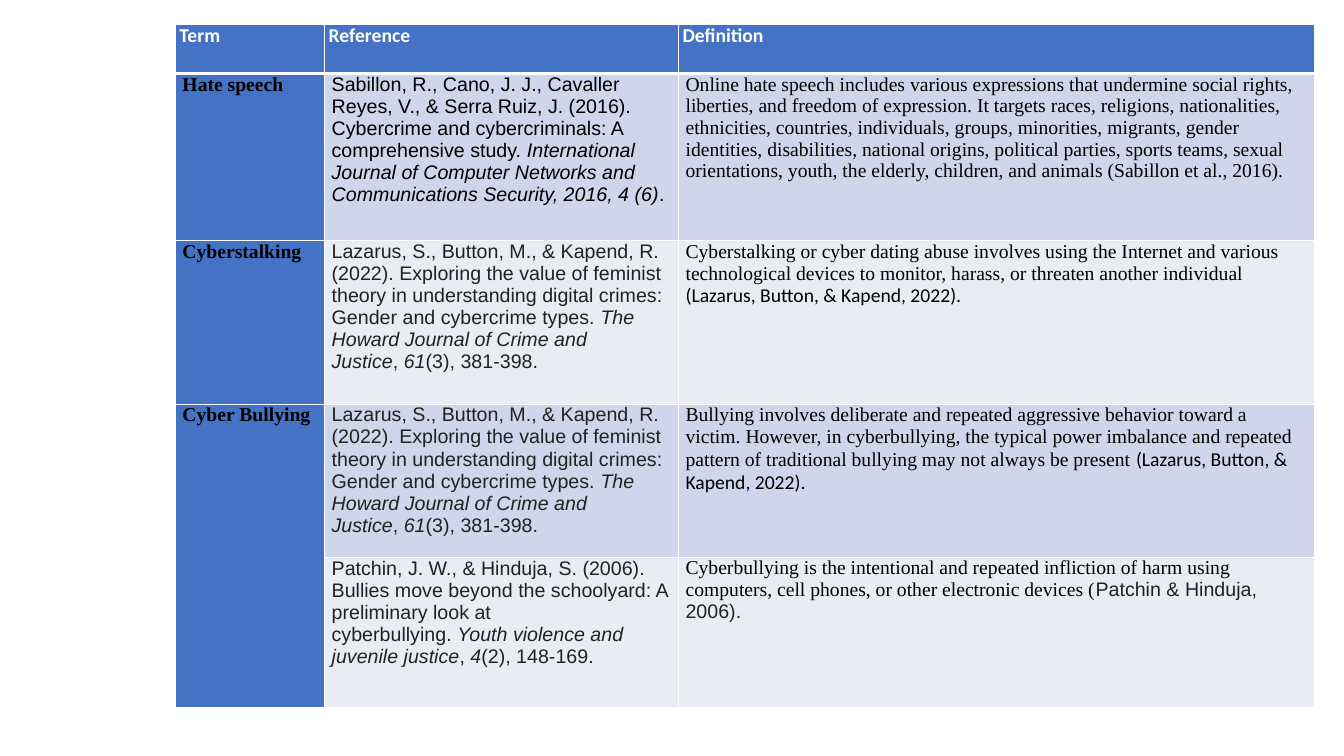
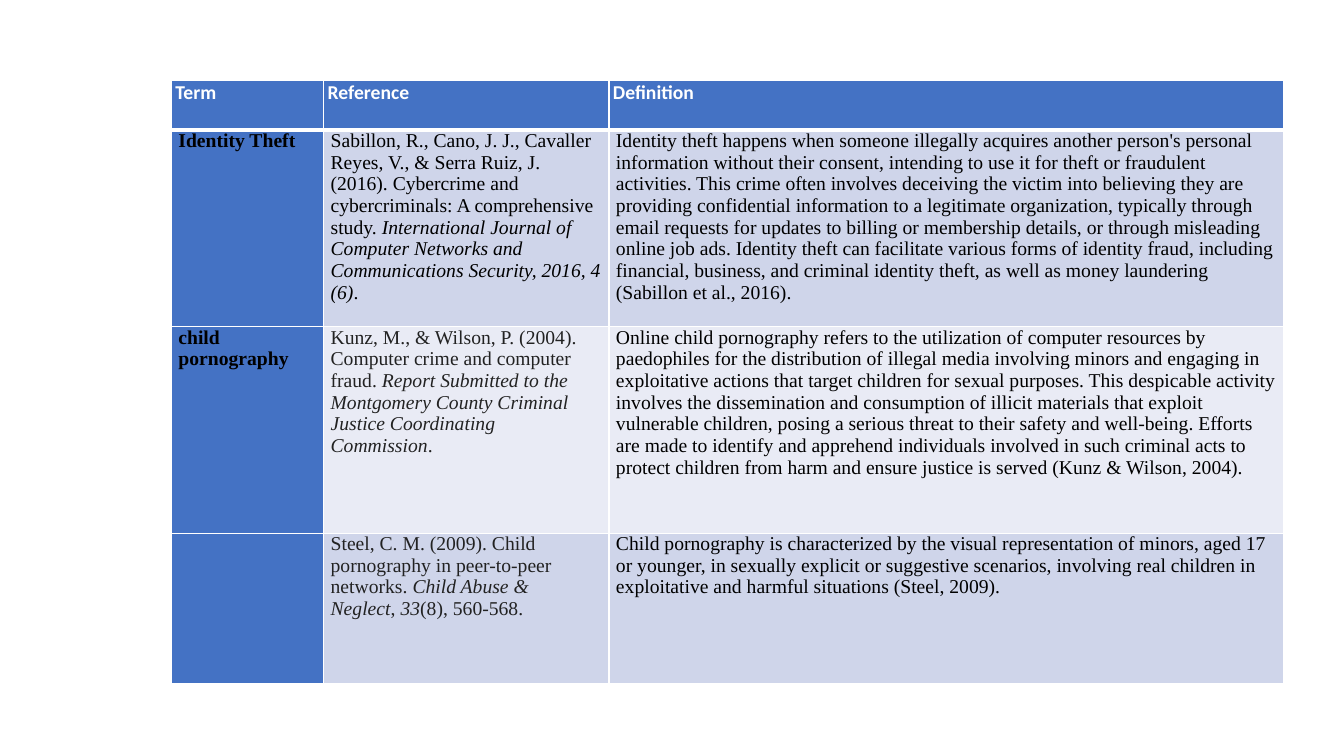
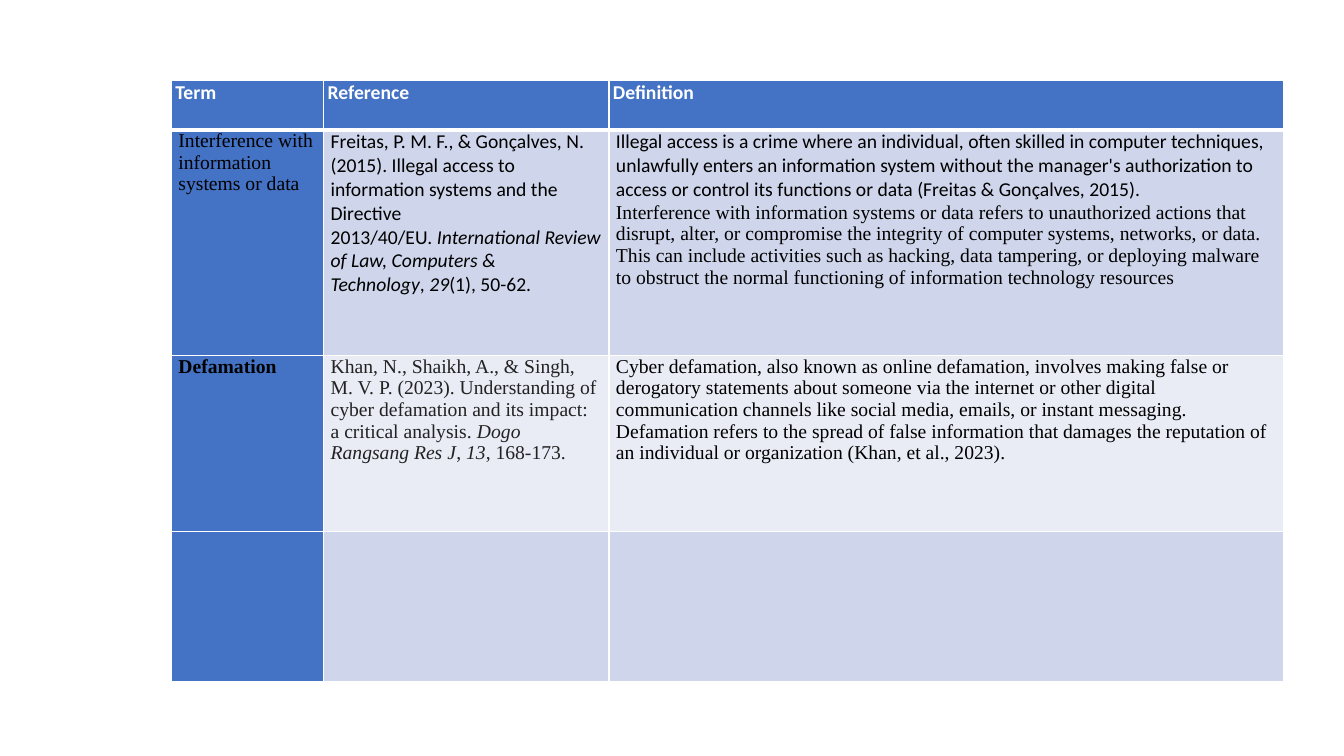
import lxml.etree
import pptx
import pptx.dml.color
import pptx.oxml.ns
import pptx.util

Inches = pptx.util.Inches
SANS, SERIF, BODY = "Arial", "Times New Roman", "Calibri"
WHITE, BLACK, GREY, BLUE = "FFFFFF", "000000", "222222", "4472C4"
BANDS = ["CFD5EA", "E9EBF5"]
HEADINGS = ["Term", "Reference", "Definition"]

# In the texts, *stars* enclose italics and ~ is a space that never breaks.
SABILLON = (
    "Sabillon, R., Cano, J. J., Cavaller Reyes, V., & Serra Ruiz, J. (2016). "
    "Cybercrime and cybercriminals: A comprehensive study.~*International Journal of "
    "Computer Networks and Communications Security, 2016, 4 (6)*."
)
LAZARUS = (
    "Lazarus, S., Button, M., & Kapend, R. (2022). Exploring the value of feminist theory "
    "in understanding digital crimes: Gender and cybercrime types.~*The Howard Journal of "
    "Crime and Justice*,~*61*(3), 381-398."
)
LAZARUS_SHORT = "(Lazarus, Button, & Kapend, 2022)."


def colour(value):
    return pptx.dml.color.RGBColor.from_string(value)


def span(text, font=SERIF, ink=BLACK, bold=False, new_para=False):
    """Text with its format, as one part of a cell."""
    return {"text": text, "font": font, "ink": ink, "bold": bold, "new_para": new_para}


class Slides:
    size = 14
    header_height = 0.49

    def __init__(self):
        self.deck = pptx.Presentation()
        self.deck.slide_width = Inches(13.33)
        self.deck.slide_height = Inches(7.5)
        self.page = None

    def add_page(self):
        self.page = self.deck.slides.add_slide(self.deck.slide_layouts[6])

    def add_text(self, para, text, font, ink, bold):
        for index, piece in enumerate(text.replace("~", chr(160)).split("*")):
            if piece:
                run = para.add_run()
                run.text = piece
                run.font.name = font
                run.font.size = pptx.util.Pt(self.size)
                run.font.bold = bold
                run.font.italic = index % 2 == 1
                run.font.color.rgb = colour(ink)

    def borders(self, cell, top, bottom):
        qn = pptx.oxml.ns.qn
        properties = cell._tc.get_or_add_tcPr()
        for side, points in {"L": 1, "R": 1, "T": top, "B": bottom}.items():
            line = lxml.etree.SubElement(properties, qn("a:ln" + side))
            line.set("w", str(pptx.util.Pt(points)))
            fill = lxml.etree.SubElement(line, qn("a:solidFill"))
            lxml.etree.SubElement(fill, qn("a:srgbClr")).set("val", WHITE)

    def fill_cell(self, cell, spans, fill, inset, top=1, bottom=1):
        self.borders(cell, top, bottom)
        cell.fill.solid()
        cell.fill.fore_color.rgb = colour(fill)
        cell.margin_left = cell.margin_right = Inches(inset)
        cell.margin_top = cell.margin_bottom = 0
        para = cell.text_frame.paragraphs[0]
        for part in spans:
            if part["new_para"]:
                para = cell.text_frame.add_paragraph()
            self.add_text(para, part["text"], part["font"], part["ink"], part["bold"])

    def add_glossary(self, left, top, widths, heights, rows, merge=None):
        heights = [self.header_height] + heights
        table = self.page.shapes.add_table(
            len(heights), len(widths), Inches(left), Inches(top),
            Inches(sum(widths)), Inches(sum(heights))).table
        table.first_row = table.horz_banding = False
        for column, width in zip(table.columns, widths):
            column.width = Inches(width)
        for row, height in zip(table.rows, heights):
            row.height = Inches(height)
        # Header row
        for index, heading in enumerate(HEADINGS):
            title = [span(heading, font=BODY, ink=WHITE, bold=True)]
            self.fill_cell(table.cell(0, index), title, BLUE, 0.04, bottom=3)
        # Banded rows, with the terms on blue
        for number, row in enumerate(rows, start=1):
            for index, spans in enumerate(row):
                fill = BLUE if index == 0 else BANDS[(number - 1) % 2]
                self.fill_cell(table.cell(number, index), spans, fill, 0.07,
                               top=3 if number == 1 else 1)
        if merge:
            table.cell(merge[0], 0).merge(table.cell(merge[1], 0))


# Hate speech, stalking and bullying
HARASSMENT = [
    (
        [span("Hate speech", bold=True)],
        [span(SABILLON, font=SANS)],
        [span("Online hate speech includes various expressions that undermine social rights, "
              "liberties, and freedom of expression. It targets races, religions, "
              "nationalities, ethnicities, countries, individuals, groups, minorities, "
              "migrants, gender identities, disabilities, national origins, political "
              "parties, sports teams, sexual orientations, youth, the elderly, children, and "
              "animals (Sabillon et al., 2016).")],
    ),
    (
        [span("Cyberstalking", bold=True)],
        [span(LAZARUS, font=SANS, ink=GREY)],
        [span("Cyberstalking or cyber dating abuse involves using the Internet and various "
              "technological devices to monitor, harass, or threaten another individual "),
         span(LAZARUS_SHORT, font=BODY)],
    ),
    (
        [span("Cyber Bullying", bold=True)],
        [span(LAZARUS, font=SANS, ink=GREY)],
        [span("Bullying involves deliberate and repeated aggressive behavior toward a victim. "
              "However, in cyberbullying, the typical power imbalance and repeated pattern of "
              "traditional bullying may not always be present "),
         span(LAZARUS_SHORT, font=BODY)],
    ),
    (
        [],
        [span("Patchin, J. W., & Hinduja, S. (2006). Bullies move beyond the schoolyard: A "
              "preliminary look at cyberbullying.~*Youth violence and juvenile justice*,~*4*"
              "(2), 148-169.", font=SANS, ink=GREY)],
        [span("Cyberbullying is the intentional and repeated infliction of harm using "
              "computers, cell phones, or other electronic devices ("),
         span("Patchin & Hinduja, 2006).", font=SANS, ink=GREY)],
    ),
]

# Identity theft and child protection
EXPLOITATION = [
    (
        [span("Identity Theft", bold=True)],
        [span(SABILLON)],
        [span("Identity theft happens when someone illegally acquires another person's "
              "personal information without their consent, intending to use it for theft or "
              "fraudulent activities. This crime often involves deceiving the victim into "
              "believing they are providing confidential information to a legitimate "
              "organization, typically through email requests for updates to billing or "
              "membership details, or through misleading online job ads. Identity theft can "
              "facilitate various forms of identity fraud, including financial, business, and "
              "criminal identity theft, as well as money laundering (Sabillon et al., "
              "2016).")],
    ),
    (
        [span("child pornography", bold=True)],
        [span("Kunz, M., & Wilson, P. (2004). Computer crime and computer fraud.~*Report "
              "Submitted to the Montgomery County Criminal Justice Coordinating "
              "Commission*.", ink=GREY)],
        [span("Online child pornography refers to the utilization of computer resources by "
              "paedophiles for the distribution of illegal media involving minors and "
              "engaging in exploitative actions that target children for sexual purposes. "
              "This despicable activity involves the dissemination and consumption of illicit "
              "materials that exploit vulnerable children, posing a serious threat to their "
              "safety and well-being. Efforts are made to identify and apprehend individuals "
              "involved in such criminal acts to protect children from harm and ensure "
              "justice is served (Kunz & Wilson, 2004).")],
    ),
    (
        [],
        [span("Steel, C. M. (2009). Child pornography in peer-to-peer networks.~*Child Abuse "
              "& Neglect*,~*33*(8), 560-568.", ink=GREY)],
        [span("Child pornography is characterized by the visual representation of minors, "
              "aged 17 or younger, in sexually explicit or suggestive scenarios, involving "
              "real children in exploitative and harmful situations (Steel, 2009).")],
    ),
]

# Interference and defamation
INTERFERENCE = [
    (
        [span("Interference with information systems or data")],
        [span("Freitas, P. M. F., & Gonçalves, N. (2015). Illegal access to information "
              "systems and the Directive 2013/40/EU.~*International Review of Law, Computers "
              "& Technology*,~*29*(1), 50-62.", font=BODY)],
        [span("Illegal access is a crime where an individual, often skilled in computer "
              "techniques, unlawfully enters an information system without the manager's "
              "authorization to access or control its functions or data (Freitas & "
              "Gonçalves, 2015).", font=BODY),
         span("Interference with information systems or data refers to unauthorized actions "
              "that disrupt, alter, or compromise the integrity of computer systems, "
              "networks, or data. This can include activities such as hacking, data "
              "tampering, or deploying malware to obstruct the normal functioning of "
              "information technology resources", new_para=True)],
    ),
    (
        [span("Defamation", bold=True)],
        [span("Khan, N., Shaikh, A., & Singh, M. V. P. (2023). Understanding of cyber "
              "defamation and its impact: a critical analysis.~*Dogo Rangsang Res J*,~*13*, "
              "168-173.", ink=GREY)],
        [span("Cyber defamation, also known as online defamation, involves making false or "
              "derogatory statements about someone via the internet or other digital "
              "communication channels like social media, emails, or instant messaging. "
              "Defamation refers to the spread of false information that damages the "
              "reputation of an individual or organization (Khan, et al., 2023).")],
    ),
    ([], [], []),
]


def main():
    slides = Slides()
    slides.add_page()
    slides.add_glossary(1.74, 0.24, [1.48, 3.51, 6.31], [1.66, 1.62, 1.52, 1.49],
                        HARASSMENT, merge=(3, 4))
    for heights, rows in [([1.95, 2.05, 1.49], EXPLOITATION),
                          ([2.24, 1.74, 1.49], INTERFERENCE)]:
        slides.add_page()
        slides.add_glossary(1.7, 0.8, [1.51, 2.83, 6.69], heights, rows)
    slides.deck.save("out.pptx")


if __name__ == "__main__":
    main()
